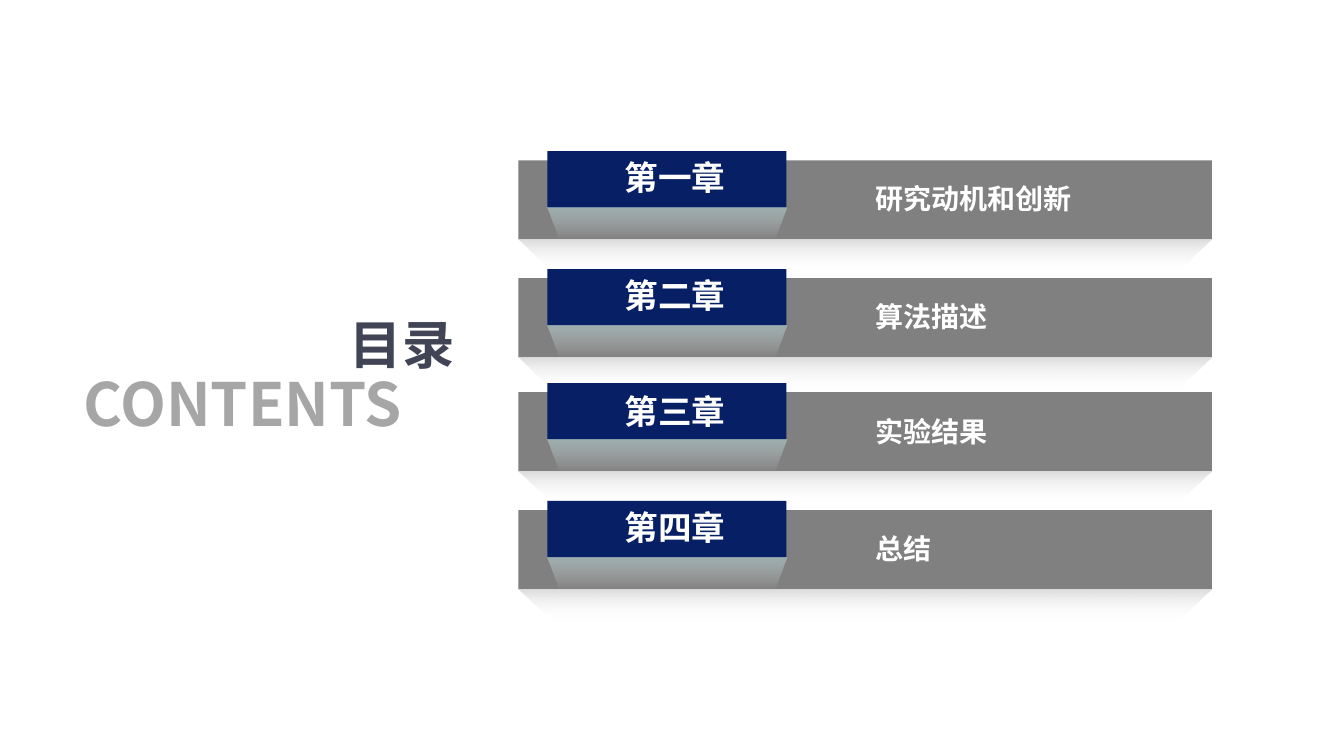
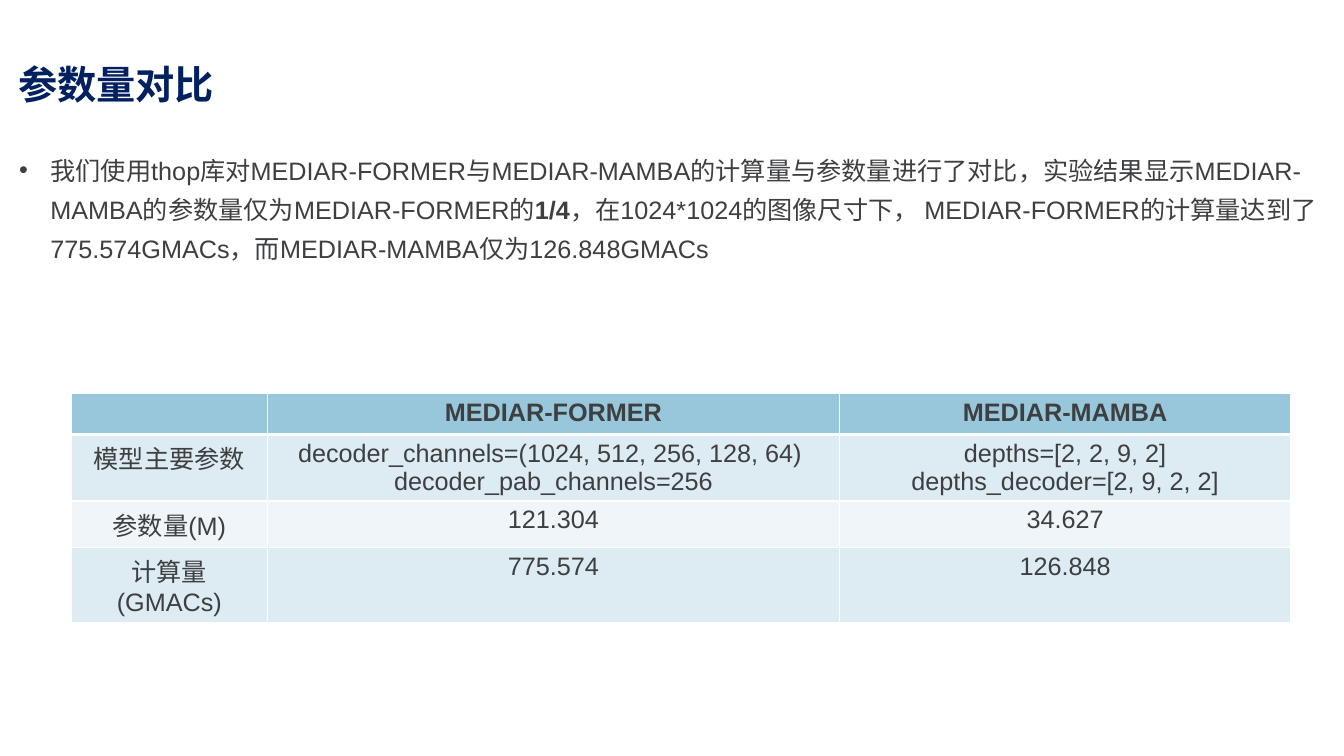
import lxml.etree
import pptx
import pptx.dml.color
import pptx.enum.shapes
import pptx.enum.text
import pptx.oxml.ns
import pptx.util

PX = 9144  # EMU: 100 px to the inch
CJK_FONT = "Noto Sans CJK SC"
LATIN_FONT = "Arial"

WHITE = "FFFFFF"
NAVY = "071F65"
TITLE_BLUE = "002060"
GREY = "808080"
LIGHT_GREY = "A6A6A6"
SLATE = "414455"
TEXT = "3D3F41"
HEADER_FILL = "98C7DC"
ROW_FILLS = ("DDEBF2", "EFF5F9")

# Bar top, space below the text, chapter, topic
CHAPTERS = [
    (159, 4, "第一章", "研究动机和创新"),
    (276, 4, "第二章", "算法描述"),
    (389, 1, "第三章", "实验结果"),
    (506, 4, "第四章", "总结"),
]
BAR_LEFT, BAR_WIDTH, BAR_HEIGHT = 514, 688, 79
LABEL_WIDTH, LABEL_HEIGHT = 237, 56

SUMMARY = [
    ("我们使用thop库对MEDIAR-FORMER与MEDIAR-MAMBA的计算量与参数量进行了对比，"
     "实验结果显示MEDIAR-MAMBA的参数量仅为MEDIAR-FORMER的", False),
    ("1/4", True),
    ("，在1024*1024的图像尺寸下， MEDIAR-FORMER的计算量达到了775.574GMACs，"
     "而MEDIAR-MAMBA仅为126.848GMACs", False),
]
COLUMN_WIDTHS = (194, 568, 447)
ROW_HEIGHT = 41
COMPARISON = [
    ("", "MEDIAR-FORMER", "MEDIAR-MAMBA"),
    ("模型主要参数",
     "decoder_channels=(1024, 512, 256, 128, 64) \ndecoder_pab_channels=256",
     "depths=[2, 2, 9, 2]\ndepths_decoder=[2, 9, 2, 2]"),
    ("参数量(M)", "121.304", "34.627"),
    ("计算量(GMACs)", "775.574", "126.848"),
]


def px(length):
    return pptx.util.Emu(length * PX)


def color(value):
    return pptx.dml.color.RGBColor.from_string(value)


def add_xml(parent, tag, **attributes):
    return lxml.etree.SubElement(parent, pptx.oxml.ns.qn(tag), attributes)


def style_paragraph(paragraph, size, ink, bold=None, latin=LATIN_FONT, align="LEFT"):
    paragraph.alignment = getattr(pptx.enum.text.PP_ALIGN, align)
    font = paragraph.font
    font.size = pptx.util.Pt(size)
    font.bold = bold
    font.color.rgb = color(ink)
    font.name = latin
    defaults = paragraph._p.pPr.find(pptx.oxml.ns.qn("a:defRPr"))
    add_xml(defaults, "a:ea", typeface=CJK_FONT)


def place(shape, left, top, width, height):
    shape.left, shape.top = px(left), px(top)
    shape.width, shape.height = px(width), px(height)


def setup_frame(shape, anchor="TOP", wrap=True):
    """Fix wrapping, anchor and size of a shape's text frame."""
    frame = shape.text_frame
    frame.auto_size = pptx.enum.text.MSO_AUTO_SIZE.NONE
    frame.word_wrap = wrap
    frame.vertical_anchor = getattr(pptx.enum.text.MSO_ANCHOR, anchor)
    return frame


def set_title(slide, text, box, size, ink, latin=LATIN_FONT):
    title = slide.shapes.title
    place(title, *box)
    frame = setup_frame(title, "MIDDLE", wrap=False)
    frame.text = text
    style_paragraph(frame.paragraphs[0], size, ink, True, latin)


def add_block(slide, box, fill, text, size, indent, lift, align):
    """Add a filled rectangle whose text starts after the given indent."""
    block = slide.shapes.add_shape(
        pptx.enum.shapes.MSO_SHAPE.RECTANGLE, *map(px, box))
    block.shadow.inherit = False
    block.fill.solid()
    block.fill.fore_color.rgb = color(fill)
    block.line.fill.background()
    frame = setup_frame(block, "MIDDLE")
    frame.margin_left, frame.margin_right = px(indent), 0
    frame.margin_top, frame.margin_bottom = 0, px(lift)
    frame.text = text
    style_paragraph(frame.paragraphs[0], size, WHITE, True, CJK_FONT, align)


def add_fold(slide, left, top, width, inset, tint, opacity):
    """Add a trapezoid below an edge, fading from the tint to nothing."""
    height = 31
    builder = slide.shapes.build_freeform(left, top, scale=PX)
    builder.add_line_segments([
        (left + inset, top + height),
        (left + width - inset, top + height),
        (left + width, top),
    ])
    fold = builder.convert_to_shape()
    fold.shadow.inherit = False
    fold.line.fill.background()
    fold.fill.gradient()
    fold.fill.gradient_angle = 270
    stops = zip(fold.fill.gradient_stops, (tint, WHITE), (opacity, 0), (0, 1))
    for stop, stop_color, alpha, position in stops:
        stop.color.rgb = color(stop_color)
        stop.position = position
        rgb = stop._gs.find(pptx.oxml.ns.qn("a:srgbClr"))
        add_xml(rgb, "a:alpha", val=str(alpha * 1000))


def add_chapter(slide, top, lift, chapter, topic):
    label_left, label_top = BAR_LEFT + 29, top - 9
    add_block(slide, (BAR_LEFT, top, BAR_WIDTH, BAR_HEIGHT), GREY,
              topic, 20, 354, lift, "LEFT")
    add_block(slide, (label_left, label_top, LABEL_WIDTH, LABEL_HEIGHT), NAVY,
              chapter, 24, 16, lift, "CENTER")
    add_fold(slide, BAR_LEFT, top + BAR_HEIGHT, BAR_WIDTH, 34, "DDDDDD", 100)
    add_fold(slide, label_left, label_top + LABEL_HEIGHT, LABEL_WIDTH, 12,
             "BBE0E3", 50)


def style_cell(cell, fill, top_width, bottom_width):
    cell.fill.solid()
    cell.fill.fore_color.rgb = color(fill)
    properties = cell._tc.get_or_add_tcPr()
    borders = (("a:lnL", 1), ("a:lnR", 1), ("a:lnT", top_width), ("a:lnB", bottom_width))
    for index, (tag, points) in enumerate(borders):
        border = add_xml(properties, tag, w=str(pptx.util.Pt(points)))
        add_xml(add_xml(border, "a:solidFill"), "a:srgbClr", val=WHITE)
        properties.insert(index, border)


def add_comparison_table(slide, left, top):
    table = slide.shapes.add_table(
        len(COMPARISON), len(COLUMN_WIDTHS), px(left), px(top),
        px(sum(COLUMN_WIDTHS)), px(ROW_HEIGHT * len(COMPARISON))).table
    for column, width in zip(table.columns, COLUMN_WIDTHS):
        column.width = px(width)
    for row_index, values in enumerate(COMPARISON):
        is_header = row_index == 0
        fill = HEADER_FILL if is_header else ROW_FILLS[(row_index - 1) % 2]
        for cell, value in zip(table.rows[row_index].cells, values):
            cell.text = value
            style_cell(cell, fill, 3 if row_index == 1 else 1, 3 if is_header else 1)
            for paragraph in cell.text_frame.paragraphs:
                style_paragraph(paragraph, 18, TEXT, is_header, align="CENTER")


def set_summary(body, box):
    place(body, *box)
    paragraph = setup_frame(body).paragraphs[0]
    properties = paragraph._p.get_or_add_pPr()
    properties.set("marL", str(px(31)))
    properties.set("indent", str(-px(31)))
    paragraph.space_before = pptx.util.Pt(0)
    paragraph.line_spacing = pptx.util.Pt(28)
    for text, bold in SUMMARY:
        run = paragraph.add_run()
        run.text = text
        run.font.bold = bold
    style_paragraph(paragraph, 18, TEXT)


def add_contents_slide(presentation):
    slide = presentation.slides.add_slide(presentation.slide_layouts[5])
    set_title(slide, "目录", (337, 304, 125, 73), 37.4, SLATE, CJK_FONT)
    subtitle = slide.shapes.add_textbox(*map(px, (73, 359, 408, 82)))
    frame = setup_frame(subtitle)
    frame.text = "CONTENTS"
    style_paragraph(frame.paragraphs[0], 42.6, LIGHT_GREY, True, CJK_FONT)
    for chapter in CHAPTERS:
        add_chapter(slide, *chapter)


def add_comparison_slide(presentation):
    slide = presentation.slides.add_slide(presentation.slide_layouts[1])
    set_title(slide, "参数量对比", (8, 53, 1000, 60), 28, TITLE_BLUE)
    set_summary(slide.placeholders[1], (9, 140, 1335, 140))
    add_comparison_table(slide, 71, 390)


def main():
    presentation = pptx.Presentation()
    presentation.slide_width, presentation.slide_height = px(1333), px(750)
    add_contents_slide(presentation)
    add_comparison_slide(presentation)
    presentation.save("out.pptx")


if __name__ == "__main__":
    main()
